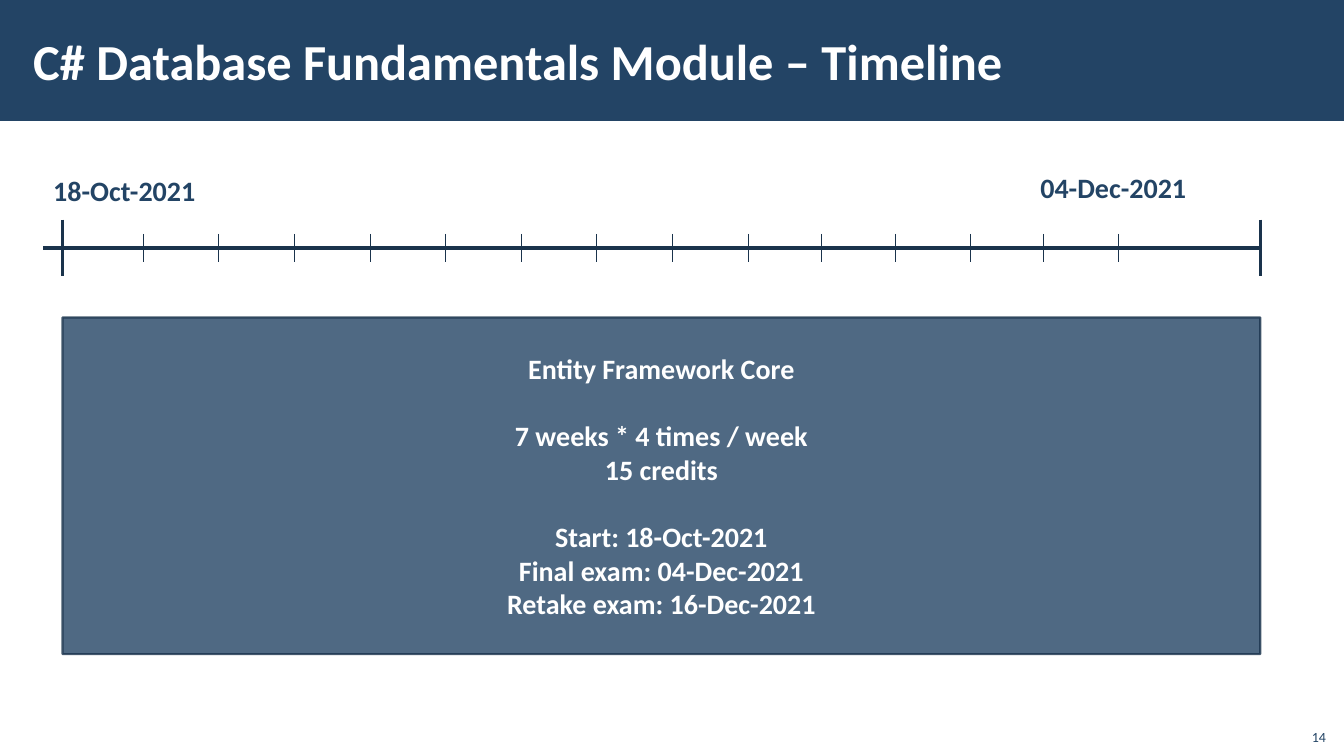
from lxml import etree
from pptx import Presentation
from pptx import util as u
from pptx.dml.color import RGBColor
from pptx.enum import shapes, text
from pptx.oxml.ns import qn

PX = 9144  # EMU per px, 100 px to the inch
NAVY, DARK, WHITE = "234465", "1A334C", "FFFFFF"
LEFT, RIGHT, AXIS = 62, 1250, 246


def color(code):
    return RGBColor.from_string(code)


def fade(fill, share):
    """Set the opacity of a solid fill element, in percent."""
    node = fill.find(qn("a:srgbClr"))
    etree.SubElement(node, qn("a:alpha")).set("val", str(share * 1000))


class Deck:
    font = "Calibri"

    def __init__(self, wide, high):
        self.prs = Presentation()
        self.prs.slide_width, self.prs.slide_height = wide * PX, high * PX
        self.slide = self.prs.slides.add_slide(self.prs.slide_layouts[6])

    def rect(self, x, y, w, h, fill, line=None, share=100):
        box = self.slide.shapes.add_shape(
            shapes.MSO_SHAPE.RECTANGLE, x * PX, y * PX, w * PX, h * PX)
        box.shadow.inherit = False
        box.fill.solid()
        box.fill.fore_color.rgb = color(fill)
        if line:
            box.line.color.rgb = color(line)
            box.line.width = u.Pt(1.5)
        else:
            box.line.fill.background()
        if share < 100:
            for solid in box.element.spPr.iter(qn("a:solidFill")):
                fade(solid, share)
        return box

    def letter(self, box, words, size, tint, bold=True,
               align=text.PP_ALIGN.LEFT, anchor=text.MSO_ANCHOR.TOP):
        """Put styled words into a shape and return its text frame."""
        frame = box.text_frame
        frame.text = words
        frame.vertical_anchor = anchor
        for para in frame.paragraphs:
            para.alignment = align
            for run in para.runs:
                run.font.name, run.font.size = self.font, u.Pt(size)
                run.font.bold = bold
                run.font.color.rgb = color(tint)
        return frame

    def label(self, x, y, w, h, words, size, tint, wrap=True, **style):
        box = self.slide.shapes.add_textbox(x * PX, y * PX, w * PX, h * PX)
        frame = self.letter(box, words, size, tint, **style)
        frame.word_wrap = wrap
        return frame

    def line(self, x1, y1, x2, y2, width):
        rule = self.slide.shapes.add_connector(
            shapes.MSO_CONNECTOR.STRAIGHT, x1 * PX, y1 * PX, x2 * PX, y2 * PX)
        rule.line.color.rgb = color(DARK)
        rule.line.width = u.Pt(width)
        etree.SubElement(rule.element.spPr, qn("a:effectLst"))

    def tick(self, x, reach, width):
        """Draw an upright mark centred on the time axis."""
        self.line(x, AXIS - reach, x, AXIS + reach, width)


def main():
    deck = Deck(1333, 750)
    middle = text.MSO_ANCHOR.MIDDLE

    deck.rect(0, 0, 1333, 120, NAVY)
    title = deck.label(21, 11, 1063, 97,
                       "C# Database Fundamentals Module – Timeline",
                       36, WHITE, anchor=middle)
    title.margin_left = title.margin_right = 12 * PX
    title.margin_top = title.margin_bottom = 4 * PX

    deck.label(43, 167, 163, 44, "18-Oct-2021", 20, NAVY, wrap=False)
    deck.label(1022, 164, 166, 44, "04-Dec-2021", 20, NAVY, wrap=False)

    deck.line(43, AXIS, RIGHT, AXIS, 2.25)
    for x in (LEFT, RIGHT):
        deck.tick(x, 28, 2.25)
    early = [142 + 75 * i for i in range(9)]
    late = [early[-1] + 367 * i // 5 for i in range(1, 6)]
    for x in early + late:
        deck.tick(x, 14, 0.5)

    groups = [
        ["Entity Framework Core"],
        ["7 weeks * 4 times / week", "15 credits"],
        ["Start: 18-Oct-2021", "Final exam: 04-Dec-2021",
         "Retake exam: 16-Dec-2021"],
    ]
    panel = deck.rect(LEFT, 315, RIGHT - LEFT, 334, NAVY, DARK, 80)
    rows = [row for group in groups for row in group]
    frame = deck.letter(panel, "\n".join(rows), 20, WHITE,
                        align=text.PP_ALIGN.CENTER, anchor=middle)
    heads = [group[0] for group in groups[1:]]
    for para in frame.paragraphs:
        if para.text in heads:
            para.space_before = u.Pt(24)

    deck.label(1285, 712, 40, 32, "14", 10, NAVY, bold=False,
               align=text.PP_ALIGN.RIGHT, anchor=text.MSO_ANCHOR.BOTTOM)
    deck.prs.save("out.pptx")


if __name__ == "__main__":
    main()
